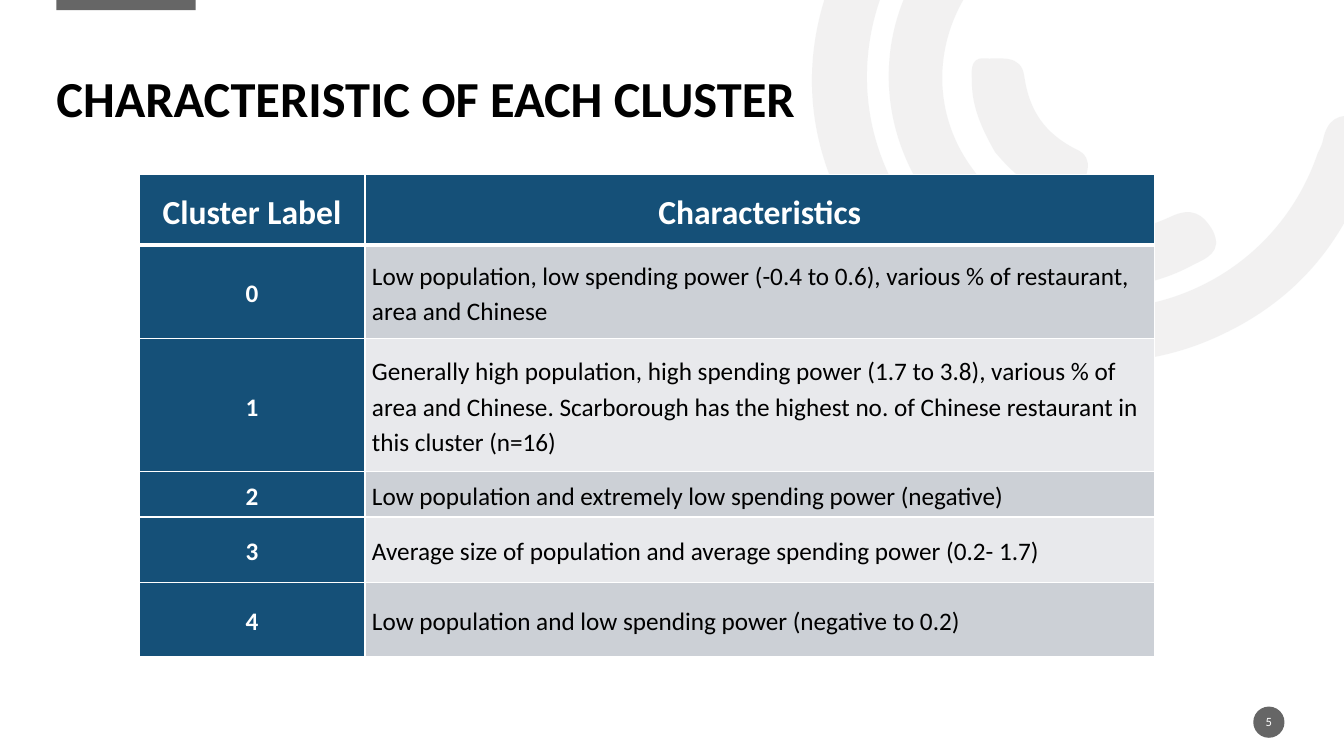
from dataclasses import dataclass

from lxml import etree
from pptx import Presentation
from pptx.dml.color import RGBColor
from pptx.enum.shapes import MSO_SHAPE
from pptx.enum.text import MSO_ANCHOR, PP_ALIGN
from pptx.oxml.ns import qn
from pptx.util import Pt

PX = 9144
RECTANGLE, OVAL = MSO_SHAPE.RECTANGLE, MSO_SHAPE.OVAL
MIDDLE, BOTTOM = MSO_ANCHOR.MIDDLE, MSO_ANCHOR.BOTTOM
LEFT, CENTER = PP_ALIGN.LEFT, PP_ALIGN.CENTER


@dataclass(frozen=True)
class Theme:
    """Colours and type sizes of the slide."""
    font: str = "Calibri"
    text: str = "000000"
    white: str = "FFFFFF"
    accent: str = "666666"
    header: str = "155078"
    bands: tuple = ("CCD0D6", "E8E9EC")
    motif: str = "E7E6E6"
    motif_alpha: int = 53
    title_size: int = 36
    header_size: int = 24
    body_size: int = 18
    number_size: int = 9


THEME = Theme()

OUTER_ARC = [
    (851, 229), (799, 149), (787, 50), (838, -50), (890, -152), (976, -203), (1090, -207),
    (1105, -207), (1121, -210), (1131, -195), (1144, -175), (1127, -154), (1098, -154),
    (967, -154), (865, -59), (860, 68), (856, 181), (936, 281), (1046, 302),
    (1160, 324), (1270, 261), (1307, 152), (1309, 148), (1311, 144), (1312, 140),
    (1316, 119), (1327, 111), (1349, 117), (1373, 124), (1367, 141), (1361, 156),
    (1334, 245), (1278, 307), (1191, 341), (1070, 387), (936, 345), (851, 229),
]
INNER_ARC = [
    (922, 199), (862, 115), (869, 7), (940, -68), (951, -79), (962, -95), (980, -78),
    (995, -64), (997, -50), (979, -32), (925, 26), (920, 108), (965, 168),
    (1008, 229), (1088, 249), (1161, 215), (1182, 205), (1193, 212), (1203, 229),
    (1213, 250), (1197, 256), (1183, 263), (1096, 310), (983, 282), (922, 199),
]
CORE = [
    (987, 151), (975, 130), (964, 107), (964, 82), (964, 73), (961, 57), (976, 58),
    (992, 59), (1013, 53), (1016, 76), (1021, 110), (1036, 132), (1067, 148),
    (1088, 157), (1076, 176), (1072, 189), (1068, 206), (1055, 198), (1045, 194),
    (1021, 187), (1003, 170), (987, 151),
]
ROWS = [
    ("Cluster Label", "Characteristics"),
    ("0", "Low population, low spending power (-0.4 to 0.6), various % of restaurant, area and Chinese"),
    ("1", "Generally high population, high spending power (1.7 to 3.8), various % of area and Chinese. "
          "Scarborough has the highest no. of Chinese restaurant in this cluster (n=16)"),
    ("2", "Low population and extremely low spending power (negative)"),
    ("3", "Average size of population and average spending power (0.2- 1.7)"),
    ("4", "Low population and low spending power (negative to 0.2)"),
]
COLUMN_WIDTHS = (224, 783)
ROW_HEIGHTS = (70, 93, 132, 45, 65, 73)


def emu(box):
    """Turn px lengths into EMU."""
    return [length * PX for length in box]


def add_filled(slide, kind, box, color):
    """Add a preset shape with a plain fill."""
    shape = slide.shapes.add_shape(kind, *emu(box))
    paint(shape, color)
    return shape


def paint(shape, color):
    """Give a shape a plain fill without line or shadow."""
    shape.shadow.inherit = False
    shape.fill.solid()
    shape.fill.fore_color.rgb = RGBColor.from_string(color)
    shape.line.fill.background()


def write(text_frame, text, size, color, bold=False, align=LEFT, spacing=1.0, before=0):
    """Set one formatted paragraph."""
    text_frame.text = text
    text_frame.word_wrap = True
    paragraph = text_frame.paragraphs[0]
    paragraph.alignment = align
    paragraph.line_spacing = spacing
    paragraph.space_before = Pt(before)
    font = paragraph.runs[0].font
    font.name, font.size, font.bold = THEME.font, Pt(size), bold
    font.color.rgb = RGBColor.from_string(color)


def add_label(slide, box, text, size, color, anchor, **style):
    """Add a text box without insets."""
    text_frame = slide.shapes.add_textbox(*emu(box)).text_frame
    text_frame.margin_left = text_frame.margin_right = 0
    text_frame.margin_top = text_frame.margin_bottom = 0
    text_frame.vertical_anchor = anchor
    write(text_frame, text, size, color, **style)


def bend(shape):
    """Turn every three straight segments into one cubic curve."""
    outline = next(shape._element.iter(qn("a:path")))
    segments = outline.findall(qn("a:lnTo"))
    for first in range(0, len(segments), 3):
        curve = etree.Element(qn("a:cubicBezTo"))
        segments[first].addprevious(curve)
        for segment in segments[first:first + 3]:
            curve.append(segment[0])
            outline.remove(segment)


def add_motif(slide, left, top):
    """Draw the pale arcs from the given origin."""
    for curves in (OUTER_ARC, INNER_ARC, CORE):
        points = [(left + x, top + y) for x, y in curves]
        builder = slide.shapes.build_freeform(*points[0], scale=PX)
        builder.add_line_segments(points[1:], close=True)
        shape = builder.convert_to_shape()
        bend(shape)
        paint(shape, THEME.motif)
        color = next(shape._element.spPr.iter(qn("a:srgbClr")))
        etree.SubElement(color, qn("a:alpha"), val=str(THEME.motif_alpha * 1000))


def add_footer_panel(slide, box):
    """Draw the white panel in the lower left corner."""
    panel = add_filled(slide, RECTANGLE, box, THEME.white)
    panel.line.color.rgb = RGBColor.from_string(THEME.white)
    panel.line.width = Pt(1)


def add_page_number(slide, box, number):
    """Draw the page number in its disc."""
    add_filled(slide, OVAL, box, THEME.accent)
    left, top, width, height = box
    add_label(slide, (left, top + 5, width, height - 11), number,
              THEME.number_size, THEME.white, MIDDLE, align=CENTER)


def set_borders(cell, top, bottom):
    """Give a cell white borders with the given top and bottom widths."""
    properties = cell._tc.get_or_add_tcPr()
    widths = {"a:lnL": 1, "a:lnR": 1, "a:lnT": top, "a:lnB": bottom}
    for index, (tag, width) in enumerate(widths.items()):
        line = etree.Element(qn(tag), w=str(Pt(width)))
        fill = etree.SubElement(line, qn("a:solidFill"))
        etree.SubElement(fill, qn("a:srgbClr"), val=THEME.white)
        properties.insert(index, line)


def add_cluster_table(slide, left, top):
    """Build the table of clusters and their characteristics."""
    box = (left, top, sum(COLUMN_WIDTHS), sum(ROW_HEIGHTS))
    table = slide.shapes.add_table(len(ROWS), len(COLUMN_WIDTHS), *emu(box)).table
    table.horz_banding = False
    for column, width in zip(table.columns, COLUMN_WIDTHS):
        column.width = width * PX
    for row, height in zip(table.rows, ROW_HEIGHTS):
        row.height = height * PX
    for row_index, texts in enumerate(ROWS):
        for column_index, text in enumerate(texts):
            heading = row_index == 0 or column_index == 0
            cell = table.cell(row_index, column_index)
            cell.margin_left = cell.margin_right = 7 * PX
            cell.margin_top = cell.margin_bottom = 0
            cell.vertical_anchor = MIDDLE
            cell.fill.solid()
            fill = THEME.header if heading else THEME.bands[(row_index - 1) % 2]
            cell.fill.fore_color.rgb = RGBColor.from_string(fill)
            set_borders(cell, 3 if row_index == 1 else 1, 3 if row_index == 0 else 1)
            write(cell.text_frame, text,
                  THEME.header_size if row_index == 0 else THEME.body_size,
                  THEME.white if heading else THEME.text,
                  bold=heading, align=CENTER if heading else LEFT, spacing=1.15, before=5)


def main():
    """Build and save the slide."""
    presentation = Presentation()
    presentation.slide_width, presentation.slide_height = emu((1333, 750))
    slide = presentation.slides.add_slide(presentation.slide_layouts[6])
    add_filled(slide, RECTANGLE, (56, -2, 138, 12), THEME.accent)
    add_motif(slide, 0, 0)
    add_footer_panel(slide, (44, 672, 132, 76))
    add_label(slide, (56, 26, 1219, 101), "CHARACTERISTIC OF EACH CLUSTER",
              THEME.title_size, THEME.text, BOTTOM, bold=True, spacing=0.9)
    add_cluster_table(slide, 138, 173)
    add_page_number(slide, (1243, 701, 31, 31), "5")
    presentation.save("out.pptx")


if __name__ == "__main__":
    main()
